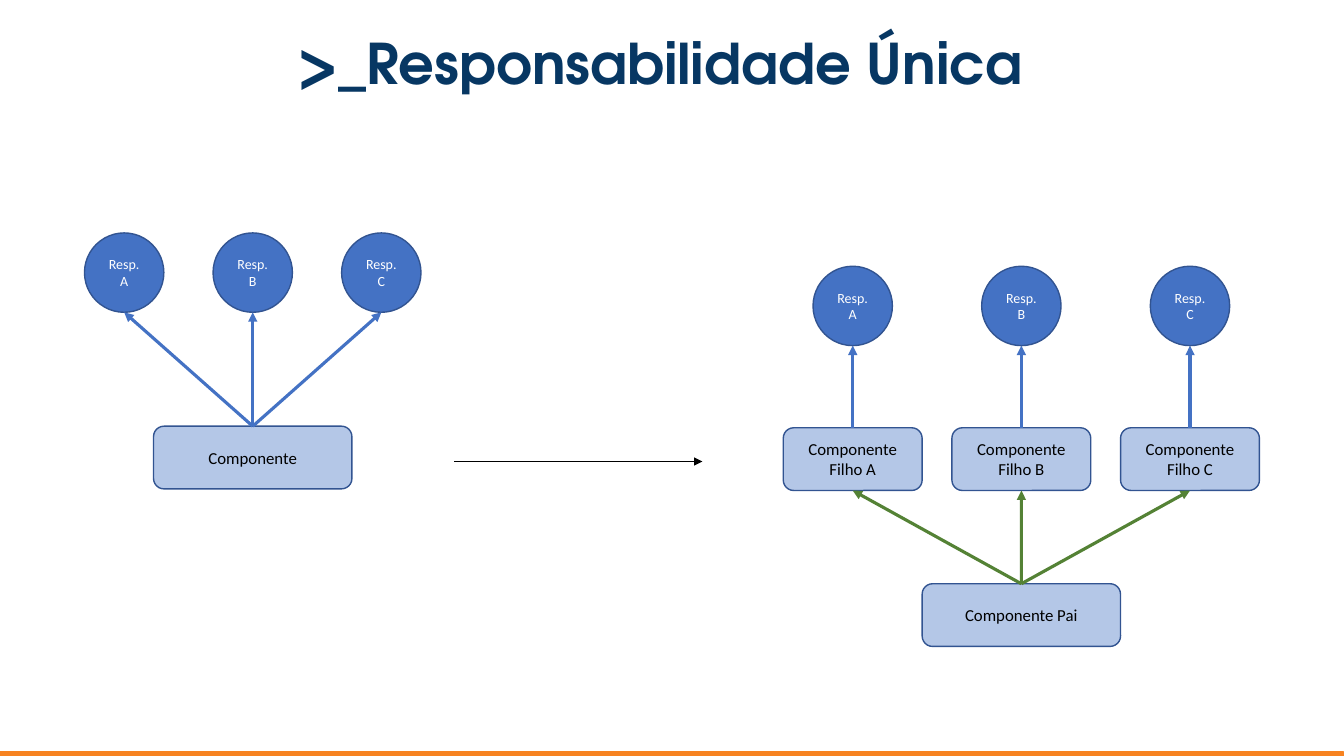
from lxml import etree
from pptx import Presentation
from pptx import util as u
from pptx.dml.color import RGBColor
from pptx.enum import shapes, text
from pptx.oxml.ns import qn

COLORS = {
    "navy": "073763", "orange": "F78321", "blue": "4472C4", "outline": "325491",
    "pale": "B4C7E7", "green": "548235", "black": "000000", "white": "FFFFFF",
}
LETTERS = "ABC"
CIRCLE = 2.0
BOX_HEIGHT = 1.58


def color(name):
    return RGBColor.from_string(COLORS[name])


def write(frame, words, size=12, font="Calibri", fill="black", bold=False, spacing=1.0):
    """Put centred, formatted text in a text frame."""
    frame.word_wrap = True
    frame.auto_size = text.MSO_AUTO_SIZE.NONE
    frame.vertical_anchor = text.MSO_ANCHOR.MIDDLE
    para = frame.paragraphs[0]
    para.alignment = text.PP_ALIGN.CENTER
    para.line_spacing = spacing
    para.space_before = u.Pt(0)
    span = para.add_run()
    span.text = words
    span.font.name = font
    span.font.size = u.Pt(size)
    span.font.bold = bold
    span.font.color.rgb = color(fill)


class Diagram:
    """Holds the current slide and draws its elements in one style."""

    def __init__(self, page):
        self.page = page

    def title(self, words):
        holder = self.page.shapes.title
        holder.left, holder.top = u.Cm(0.86), u.Cm(0.84)
        holder.width, holder.height = u.Cm(31.55), u.Cm(1.65)
        frame = holder.text_frame
        frame.margin_left = frame.margin_right = u.Cm(0.25)
        frame.margin_top = frame.margin_bottom = u.Cm(0.25)
        write(frame, words, size=40, font="TeX Gyre Adventor", fill="navy",
              bold=True, spacing=0.9)

    def shape(self, kind, left, top, width, height, fill, line, weight=1):
        item = self.page.shapes.add_shape(
            kind, u.Cm(left), u.Cm(top), u.Cm(width), u.Cm(height))
        item.shadow.inherit = False
        item.fill.solid()
        item.fill.fore_color.rgb = color(fill)
        item.line.color.rgb = color(line)
        item.line.width = u.Pt(weight)
        return item

    def box(self, words, center, top, width):
        item = self.shape(shapes.MSO_SHAPE.ROUNDED_RECTANGLE, center - width / 2,
                          top, width, BOX_HEIGHT, "pale", "outline")
        write(item.text_frame, words)
        return item

    def circle(self, words, center, top):
        item = self.shape(shapes.MSO_SHAPE.OVAL, center - CIRCLE / 2, top,
                          CIRCLE, CIRCLE, "blue", "outline")
        write(item.text_frame, words, size=10, fill="white")

    def arrow(self, start, end, line, weight=2.25, source=None, target=None):
        """Draw an arrow, joined to the top of source and the bottom of target."""
        item = self.page.shapes.add_connector(
            shapes.MSO_CONNECTOR.STRAIGHT, *(u.Cm(value) for value in (*start, *end)))
        if source is not None:
            item.begin_connect(source, 0)
        if target is not None:
            item.end_connect(target, 2)
        item.line.color.rgb = color(line)
        item.line.width = u.Pt(weight)
        etree.SubElement(item.line._get_or_add_ln(), qn("a:tailEnd"), type="triangle")
        etree.SubElement(item._element.spPr, qn("a:effectLst"))


def main():
    deck = Presentation()
    deck.slide_width, deck.slide_height = u.Cm(33.87), u.Cm(19.05)
    diagram = Diagram(deck.slides.add_slide(deck.slide_layouts[5]))

    # Title and footer bar
    diagram.title(">_Responsabilidade Única")
    diagram.shape(shapes.MSO_SHAPE.RECTANGLE, 0, 18.95, 33.87, 0.1,
                  "orange", "orange", 0.75)

    # Left: one component with three responsibilities
    middle, component_top, circle_top = 6.37, 10.74, 5.87
    component = diagram.box("Componente", middle, component_top, 5)
    for index, letter in enumerate(LETTERS):
        center = middle + (index - 1) * 3.24
        diagram.circle(f"Resp. {letter}", center, circle_top)
        diagram.arrow((middle, component_top), (center, circle_top + CIRCLE),
                      "blue", source=component)

    # Transition arrow
    diagram.arrow((11.45, 11.63), (17.7, 11.63), "black", 0.5)

    # Right: a parent whose children hold one responsibility each
    middle, parent_top, child_top, circle_top = 25.74, 14.71, 10.78, 6.71
    parent = diagram.box("Componente Pai", middle, parent_top, 5)
    for index, letter in enumerate(LETTERS):
        center = middle + (index - 1) * 4.25
        diagram.circle(f"Resp. {letter}", center, circle_top)
        child = diagram.box(f"Componente Filho {letter}", center, child_top, 3.5)
        diagram.arrow((center, child_top), (center, circle_top + CIRCLE),
                      "blue", source=child)
        diagram.arrow((middle, parent_top), (center, child_top + BOX_HEIGHT),
                      "green", source=parent, target=child)

    deck.save("out.pptx")


if __name__ == "__main__":
    main()
